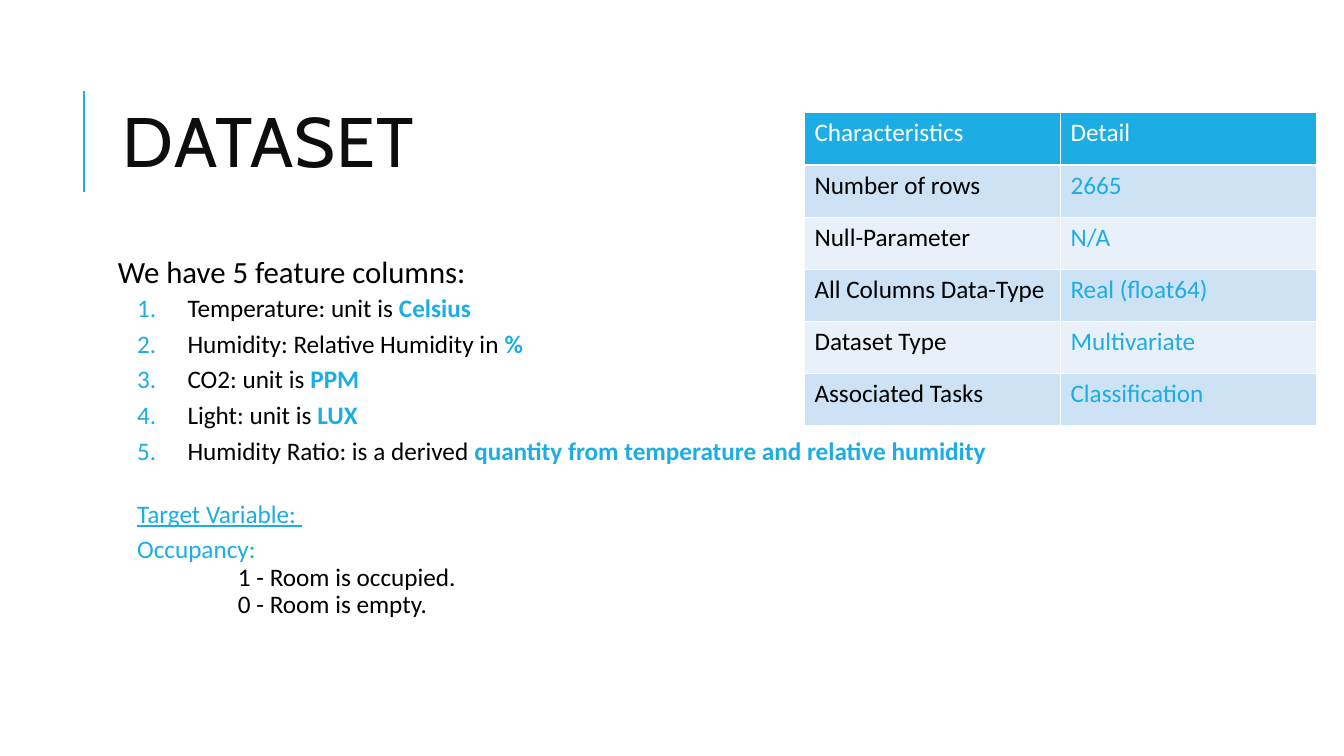
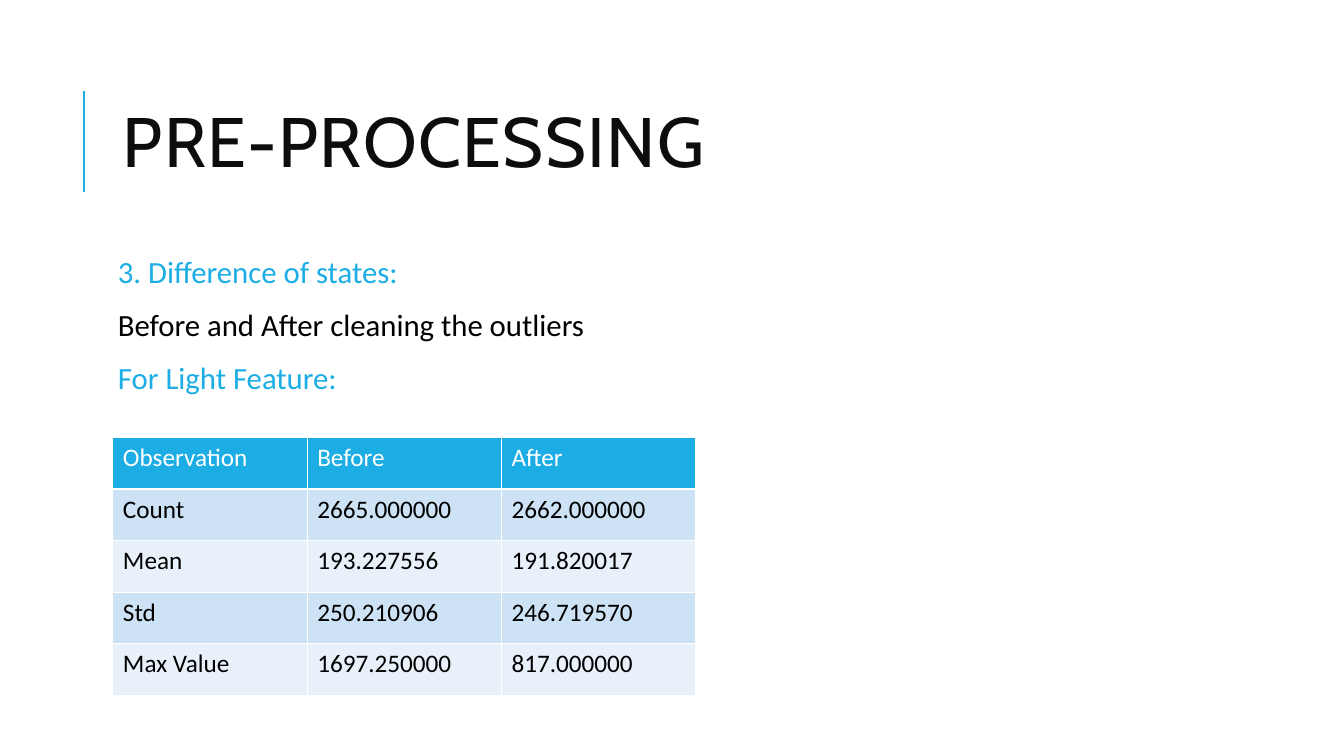
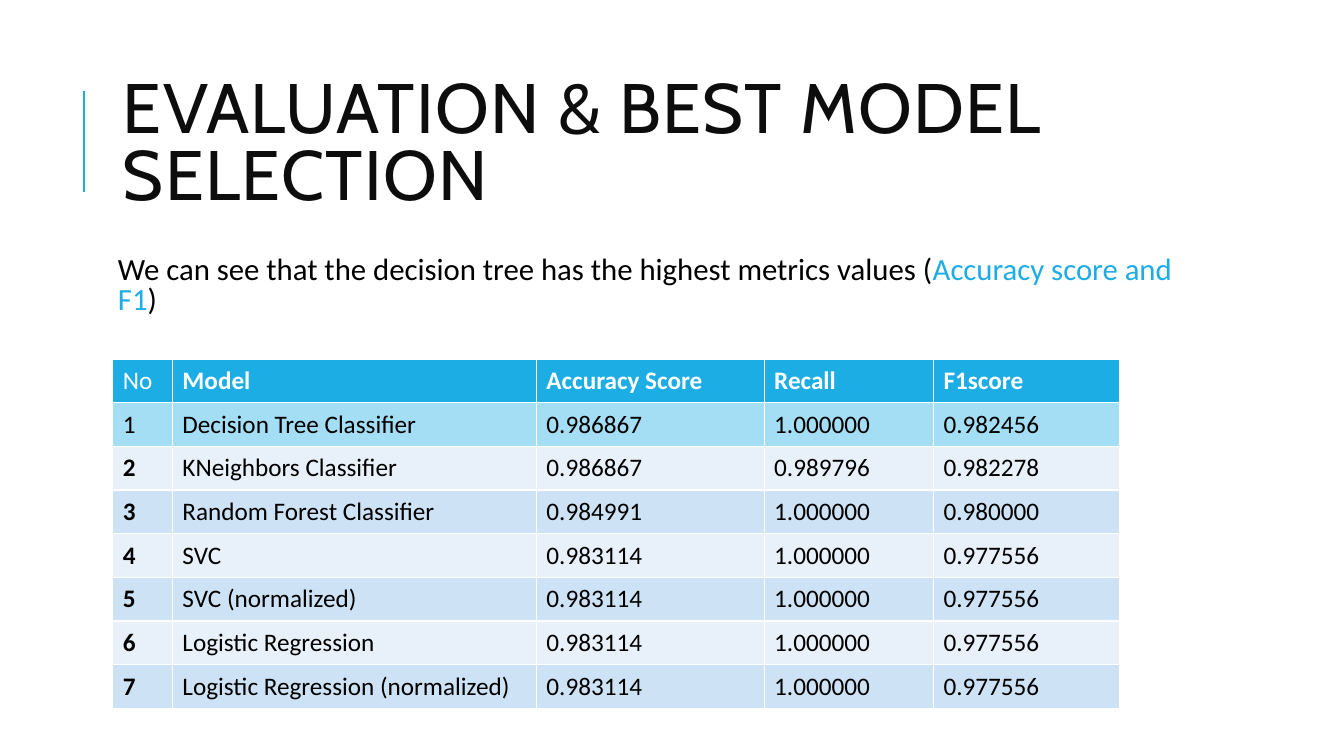
from lxml import etree
from pptx import Presentation
from pptx.dml.color import RGBColor
from pptx.enum import shapes, text
from pptx.oxml import ns
from pptx.util import Pt

ACCENT, BLACK, WHITE, TITLE_INK = "1CADE4", "000000", "FFFFFF", "0D0D0D"
BANDS = ("CDE3F5", "E8F1FA")
HIGHLIGHT = "A4DEF4"
TITLE_FONT, BODY_FONT = "Cabin", "Calibri"
LEFT, WIDTH = 80.64, 765.36


def color(hex_text):
    return RGBColor.from_string(hex_text)


def child(parent, tag, **attributes):
    return etree.SubElement(parent, ns.qn(tag), attributes)


def style_run(run, size, ink, bold=False, font=BODY_FONT):
    run.font.name, run.font.size, run.font.bold = font, Pt(size), bold
    run.font.color.rgb = color(ink)


def place(placeholder, top, width, height):
    placeholder.left, placeholder.top = Pt(LEFT), Pt(top)
    placeholder.width, placeholder.height = Pt(width), Pt(height)
    frame = placeholder.text_frame
    frame.word_wrap, frame.auto_size = True, text.MSO_AUTO_SIZE.NONE
    return frame


def add_slide(deck, heading, body_width=WIDTH, body_height=316.8):
    """Add a slide with the shared rule and title; return it with its body frame."""
    slide = deck.slides.add_slide(deck.slide_layouts[1])
    rule = slide.shapes.add_connector(
        shapes.MSO_CONNECTOR.STRAIGHT, Pt(60), Pt(136.8), Pt(60), Pt(64.8))
    rule.line.color.rgb, rule.line.width = color(ACCENT), Pt(1.5)
    child(rule._element.spPr, "a:effectLst")

    title = place(slide.shapes.title, 46.08, WIDTH, 118.08)
    title.text = heading
    title.vertical_anchor = text.MSO_ANCHOR.MIDDLE
    line = title.paragraphs[0]
    line.alignment, line.line_spacing = text.PP_ALIGN.LEFT, 0.8
    style_run(line.runs[0], 50, TITLE_INK, font=TITLE_FONT)
    line.runs[0].font._element.set("spc", "100")

    body = place(slide.placeholders[1], 180, body_width, body_height)
    body.vertical_anchor = text.MSO_ANCHOR.TOP
    body.margin_left = body.margin_right = Pt(3.6)
    body.margin_top = body.margin_bottom = Pt(3.6)
    return slide, body


def add_paragraph(body, *parts, size=22, before=12, after=2, spacing=0.9,
                  margin=0, numbered=False):
    """Append a paragraph of (words, ink[, bold]) parts."""
    first = body.paragraphs[0]
    paragraph = body.add_paragraph() if first.runs else first
    paragraph.space_before, paragraph.space_after = Pt(before), Pt(after)
    paragraph.line_spacing = spacing
    paragraph.level = 1 if margin else 0
    properties = paragraph._p.get_or_add_pPr()
    properties.set("marL", str(Pt(margin)))
    properties.set("indent", str(Pt(-36 if numbered else 0)))
    if numbered:
        child(child(properties, "a:buClr"), "a:srgbClr", val=ACCENT)
        child(properties, "a:buFont", typeface="+mj-lt")
        child(properties, "a:buAutoNum", type="arabicPeriod")
    else:
        child(properties, "a:buNone")
    for words, *look in parts:
        run = paragraph.add_run()
        run.text = words
        style_run(run, size, *look)
    return paragraph


def add_borders(cell):
    properties = cell._tc.get_or_add_tcPr()
    for index, side in enumerate(("a:lnL", "a:lnR", "a:lnT", "a:lnB")):
        border = child(properties, side, w=str(Pt(1)))
        child(child(border, "a:solidFill"), "a:srgbClr", val=WHITE)
        properties.insert(index, border)


def fill_cell(cell, fill):
    cell.fill.solid()
    cell.fill.fore_color.rgb = color(fill)


def add_table(slide, left, top, widths, row_height, rows):
    table = slide.shapes.add_table(
        len(rows), len(widths), Pt(left), Pt(top),
        Pt(sum(widths)), Pt(row_height * len(rows))).table
    for column, width in zip(table.columns, widths):
        column.width = Pt(width)
    for r, values in enumerate(rows):
        table.rows[r].height = Pt(row_height)
        for c, value in enumerate(values):
            cell = table.cell(r, c)
            cell.text = value
            style_run(cell.text_frame.paragraphs[0].runs[0], 18, BLACK if r else WHITE)
            fill_cell(cell, BANDS[(r - 1) % 2] if r else ACCENT)
            add_borders(cell)
    return table


def cell_font(table, row, column):
    return table.cell(row, column).text_frame.paragraphs[0].runs[0].font


def dataset_slide(deck):
    slide, body = add_slide(deck, "DATASET", body_width=646.56)
    add_paragraph(body, ("We have 5 feature columns:", BLACK))
    features = [
        ("Temperature: unit is ", "Celsius"),
        ("Humidity: Relative Humidity in ", "%"),
        ("CO2: unit is ", "PPM"),
        ("Light: unit is ", "LUX"),
        ("Humidity Ratio: is a derived ",
         "quantity from temperature and relative humidity"),
    ]
    for feature, unit in features:
        add_paragraph(body, (feature, BLACK), (unit, ACCENT, True), size=18,
                      before=2, after=4, margin=49.68, numbered=True)
    target = add_paragraph(body, ("Target Variable: ", ACCENT), size=18,
                           before=21.5, after=4, margin=13.68)
    target.runs[0].font.underline = True
    add_paragraph(body, ("Occupancy:", ACCENT), size=18, before=2, after=0,
                  margin=13.68)
    for state in ("1 - Room is occupied.", "0 - Room is empty."):
        add_paragraph(body, (state, BLACK), size=18, before=0, after=0, margin=85.68)

    rows = [
        ("Characteristics", "Detail"),
        ("Number of rows", "2665"),
        ("Null-Parameter", "N/A"),
        ("All Columns Data-Type", "Real (float64)"),
        ("Dataset Type", "Multivariate"),
        ("Associated Tasks", "Classification"),
    ]
    table = add_table(slide, 574.6, 80.6, [182.88] * 2, 37.3, rows)
    for r in range(1, len(rows)):
        cell_font(table, r, 1).color.rgb = color(ACCENT)


def preprocessing_slide(deck):
    slide, body = add_slide(deck, "PRE-PROCESSING")
    add_paragraph(body, ("3. Difference of states:", ACCENT))
    add_paragraph(body, ("Before and After cleaning the outliers", BLACK))
    add_paragraph(body, ("For Light Feature:", ACCENT))
    add_table(slide, LEFT, 312.5, [138.8] * 3, 36.85, [
        ("Observation", "Before", "After"),
        ("Count", "2665.000000", "2662.000000"),
        ("Mean", "193.227556", "191.820017"),
        ("Std", "250.210906", "246.719570"),
        ("Max Value", "1697.250000", "817.000000"),
    ])


def evaluation_slide(deck):
    slide, body = add_slide(deck, "EVALUATION & BEST MODEL SELECTION", body_height=55.44)
    add_paragraph(
        body,
        ("We can see that the decision tree has the highest metrics values (", BLACK),
        ("Accuracy score and F1", ACCENT), (")", BLACK), spacing=0.8)
    models = [
        ("Decision Tree Classifier", "0.986867", "1.000000", "0.982456"),
        ("KNeighbors Classifier", "0.986867", "0.989796", "0.982278"),
        ("Random Forest Classifier", "0.984991", "1.000000", "0.980000"),
    ]
    tied = ("SVC", "SVC (normalized)", "Logistic Regression",
            "Logistic Regression (normalized)")
    models += [(model, "0.983114", "1.000000", "0.977556") for model in tied]
    rows = [("No", "Model", "Accuracy Score", "Recall", "F1score")]
    rows += [(str(rank), *model) for rank, model in enumerate(models, 1)]
    table = add_table(slide, LEFT, 256.5, [42.5, 260, 162.7, 121, 133.2], 31.2, rows)
    for cell in table.iter_cells():
        cell.vertical_anchor = text.MSO_ANCHOR.MIDDLE
    for c in range(len(rows[0])):
        cell_font(table, 0, c).bold = c > 0
        fill_cell(table.cell(1, c), HIGHLIGHT)
    for r in range(2, len(rows)):
        cell_font(table, r, 0).bold = True


def main():
    deck = Presentation()
    deck.slide_width, deck.slide_height = Pt(960), Pt(540)
    dataset_slide(deck)
    preprocessing_slide(deck)
    evaluation_slide(deck)
    deck.save("out.pptx")


if __name__ == "__main__":
    main()
